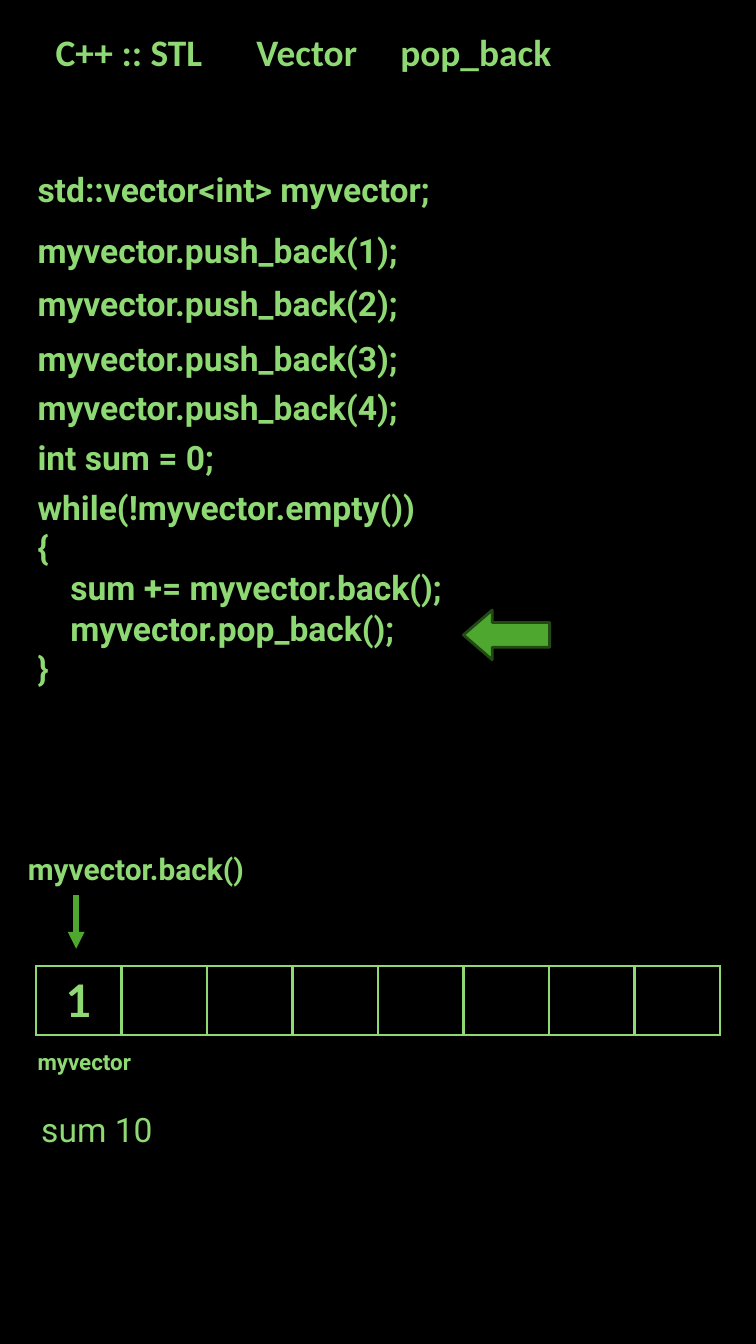
from lxml import etree
from pptx import Presentation
from pptx import util as u
from pptx.dml.color import RGBColor
from pptx.enum import shapes, text
from pptx.oxml.ns import qn

COLORS = {"back": "000000", "text": "8ED973", "arrow": "4EA72E", "edge": "224914"}

# Content; lengths are centimetres
TITLE = ("C++ :: STL", 0, 4.88)
TOPICS = [("Vector", 3.63, 4.34), ("pop_back", 6.76, 4.47)]
CODE_LEFT, CODE_WIDTH = 0.46, 13.84
STATEMENTS = [
    ("std::vector<int> myvector;", 3.07),
    ("myvector.push_back(1);", 4.22),
    ("myvector.push_back(2);", 5.23),
    ("myvector.push_back(3);", 6.27),
    ("myvector.push_back(4);", 7.19),
    ("int sum = 0;", 8.13),
]
LOOP = [
    ("while(!myvector.empty())", 0),
    ("{", 0),
    ("sum += myvector.back();", 0.62),
    ("myvector.pop_back();", 0.62),
    ("}", 0),
]
VECTOR = ["1", "", "", "", "", "", "", ""]


def color(name):
    return RGBColor.from_string(COLORS[name])


def add_span(para, words, size, font="Roboto", bold=True):
    span = para.add_run()
    span.text = words
    span.font.size = u.Pt(size)
    span.font.name = font
    span.font.bold = bold
    span.font.color.rgb = color("text")


def place(box, left, top, width, height):
    box.left, box.top = u.Cm(left), u.Cm(top)
    box.width, box.height = u.Cm(width), u.Cm(height)


def add_text(parent, lines, left, top, width, height, size=18, bold=True):
    """Add a box with one paragraph for each (words, indent) line."""
    box = parent.add_textbox(u.Cm(left), u.Cm(top), u.Cm(width), u.Cm(height))
    frame = box.text_frame
    frame.word_wrap = True
    frame.auto_size = text.MSO_AUTO_SIZE.SHAPE_TO_FIT_TEXT
    for number, (words, indent) in enumerate(lines):
        para = frame.add_paragraph() if number else frame.paragraphs[0]
        if indent:
            para._p.get_or_add_pPr().set("marL", str(u.Cm(indent)))
        add_span(para, words, size, bold=bold)


def add_heading(box, words, left, width):
    place(box, left, 0.43, width, 1.12)
    frame = box.text_frame
    frame.word_wrap = True
    frame.auto_size = text.MSO_AUTO_SIZE.SHAPE_TO_FIT_TEXT
    frame.vertical_anchor = text.MSO_ANCHOR.TOP
    para = frame.paragraphs[0]
    para.alignment = text.PP_ALIGN.CENTER
    add_span(para, words, 20, "Calibri")


def add_borders(cell, points):
    props = cell._tc.get_or_add_tcPr()
    for side in ("lnL", "lnR", "lnT", "lnB"):
        line = etree.SubElement(props, qn("a:" + side), w=str(u.Pt(points)))
        fill = etree.SubElement(line, qn("a:solidFill"))
        etree.SubElement(fill, qn("a:srgbClr"), val=COLORS["text"])


deck = Presentation()
deck.slide_width, deck.slide_height = u.Cm(14.29), u.Cm(25.4)
page = deck.slides.add_slide(deck.slide_layouts[5])
page.background.fill.solid()
page.background.fill.fore_color.rgb = color("back")

# Heading row
add_heading(page.shapes.title, *TITLE)
for topic in TOPICS:
    add_heading(page.shapes.add_textbox(0, 0, 0, 0), *topic)

# Code
for words, top in STATEMENTS:
    add_text(page.shapes, [(words, 0)], CODE_LEFT, top, CODE_WIDTH, 1.02)
add_text(page.shapes, LOOP, CODE_LEFT, 9.07, CODE_WIDTH, 4.11)

# Marker of the current statement
marker = page.shapes.add_shape(shapes.MSO_SHAPE.LEFT_ARROW,
                               u.Cm(8.76), u.Cm(11.53), u.Cm(1.63), u.Cm(0.94))
marker.shadow.inherit = False
marker.adjustments[0], marker.adjustments[1] = 0.5, 0.58
marker.fill.solid()
marker.fill.fore_color.rgb = color("arrow")
marker.line.color.rgb = color("edge")
marker.line.width = u.Pt(1.5)

# Pointer to the last element
pointer = page.shapes.add_group_shape()
add_text(pointer.shapes, [("myvector.back()", 0)], 0.28, 15.95, 5.26, 0.97, size=16)
arrow = pointer.shapes.add_connector(shapes.MSO_CONNECTOR.STRAIGHT,
                                     u.Cm(1.44), u.Cm(16.92), u.Cm(1.44), u.Cm(17.93))
arrow.line.color.rgb = color("arrow")
arrow.line.width = u.Pt(3)
etree.SubElement(arrow.line._get_or_add_ln(), qn("a:tailEnd"), type="triangle")
etree.SubElement(arrow._element.spPr, qn("a:effectLst"))

# Vector cells
table = page.shapes.add_table(1, len(VECTOR), u.Cm(0.68), u.Cm(18.26),
                              u.Cm(12.93), u.Cm(1.3)).table
table.first_row = table.horz_banding = False
for cell, value in zip(table.rows[0].cells, VECTOR):
    add_borders(cell, 1.5)
    cell.fill.background()
    if value:
        para = cell.text_frame.paragraphs[0]
        para.alignment = text.PP_ALIGN.CENTER
        add_span(para, value, 24, "Lato")

# Vector name and running total
add_text(page.shapes, [("myvector", 0)], CODE_LEFT, 19.69, 2.64, 0.76, size=12)
add_text(page.shapes, [("sum 10", 0)], 0.53, 20.83, CODE_WIDTH, 1.02, bold=False)

deck.save("out.pptx")
